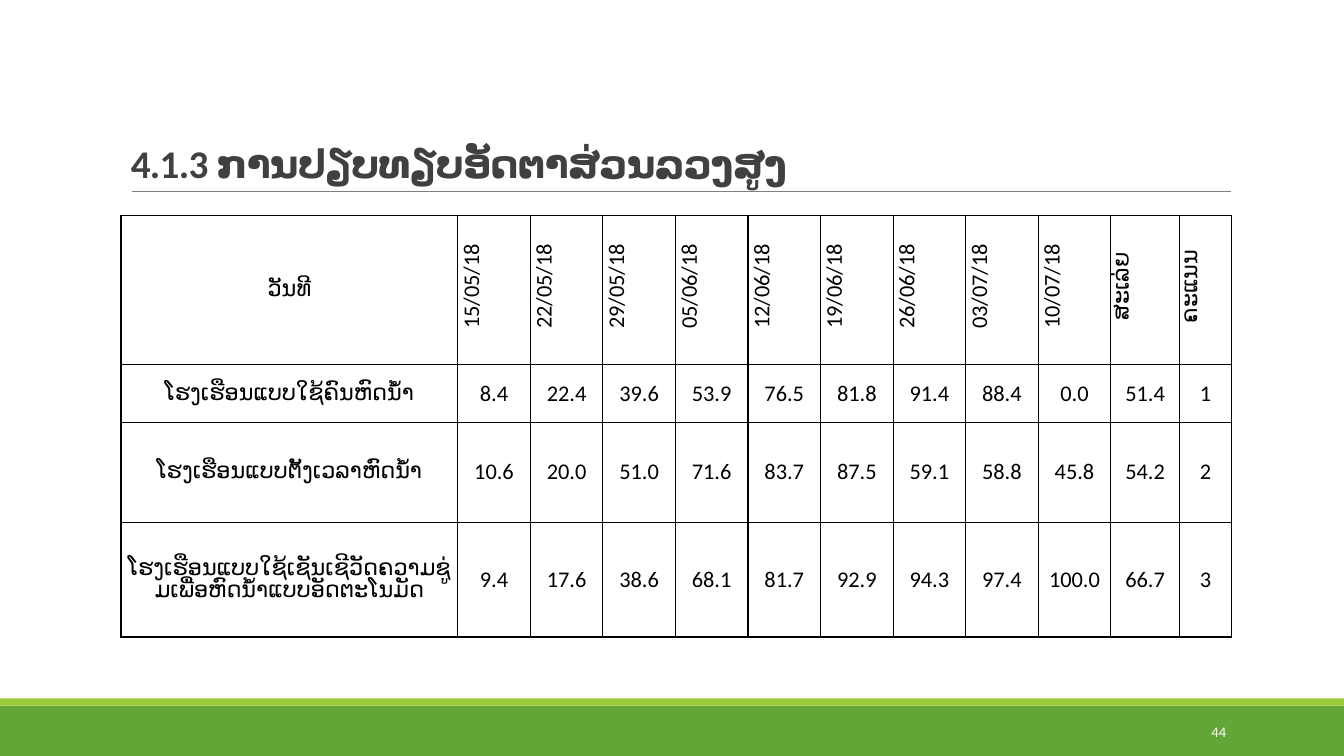
from dataclasses import dataclass

from lxml import etree
from pptx import Presentation
from pptx import util as u
from pptx.dml.color import RGBColor
from pptx.enum import shapes, text
from pptx.oxml import ns


@dataclass(frozen=True)
class Theme:
    font: str = "Calibri"
    dark_green: str = "63A537"
    light_green: str = "99CB38"
    rule: str = "808080"
    title: str = "404040"
    ink: str = "000000"
    white: str = "FFFFFF"
    title_size: float = 28
    table_size: float = 16
    number_size: float = 10.5


THEME = Theme()

DATES = ["15/05/18", "22/05/18", "29/05/18", "05/06/18", "12/06/18",
         "19/06/18", "26/06/18", "03/07/18", "10/07/18"]
TABLE_ROWS = [
    ["ວັນທີ", *DATES, "ສະເລ່ຍ", "ຄະແນນ"],
    ["ໂຮງເຮືອນແບບໃຊ້ຄົນຫົດນ້ຳ", "8.4", "22.4", "39.6", "53.9", "76.5",
     "81.8", "91.4", "88.4", "0.0", "51.4", "1"],
    ["ໂຮງເຮືອນແບບຕັ້ງເວລາຫົດນ້ຳ", "10.6", "20.0", "51.0", "71.6", "83.7",
     "87.5", "59.1", "58.8", "45.8", "54.2", "2"],
    ["ໂຮງເຮືອນແບບໃຊ້ເຊັນເຊີວັດຄວາມຊູ່ມເພື່ອຫົດນ້ຳແບບອັດຕະໂນມັດ", "9.4", "17.6",
     "38.6", "68.1", "81.7", "92.9", "94.3", "97.4", "100.0", "66.7", "3"],
]
COLUMN_WIDTHS = [3.34] + [0.72] * len(DATES) + [0.68, 0.52]
ROW_HEIGHTS = [1.48, 0.57, 0.99, 1.14]


def inches(*lengths):
    return [u.Inches(length) for length in lengths]


def style(paragraph, size, color, alignment, bold=False):
    paragraph.alignment = alignment
    font = paragraph.font
    font.name, font.size, font.bold = THEME.font, u.Pt(size), bold
    font.color.rgb = RGBColor.from_string(color)


def add_text(slide, box, wording, anchor):
    frame = slide.shapes.add_textbox(*inches(*box)).text_frame
    frame.word_wrap = True
    frame.vertical_anchor = anchor
    paragraph = frame.paragraphs[0]
    paragraph.text = wording
    return paragraph


def add_band(slide, box, color):
    band = slide.shapes.add_shape(shapes.MSO_SHAPE.RECTANGLE, *inches(*box))
    band.shadow.inherit = False
    band.fill.solid()
    band.fill.fore_color.rgb = RGBColor.from_string(color)
    band.line.fill.background()


def add_footer(slide, box, number):
    left, top, width, height = box
    stripe = 0.07
    add_band(slide, (left, top + stripe, width, height - stripe), THEME.dark_green)
    add_band(slide, (left, top, width, stripe), THEME.light_green)
    paragraph = add_text(slide, (left + 10.83, top + 0.13, 1.43, 0.4), number,
                         text.MSO_ANCHOR.MIDDLE)
    style(paragraph, THEME.number_size, THEME.white, text.PP_ALIGN.RIGHT)


def add_title(slide, box, wording):
    left, top, width, height = box
    bottom = top + height
    # Rule under the title
    rule = slide.shapes.add_connector(
        shapes.MSO_CONNECTOR.STRAIGHT,
        *inches(left + 0.11, bottom, left + 11.01, bottom))
    rule.line.color.rgb = RGBColor.from_string(THEME.rule)
    rule.line.width = u.Pt(0.5)
    etree.SubElement(rule._element.spPr, ns.qn("a:effectLst"))
    # Title text
    paragraph = add_text(slide, box, wording, text.MSO_ANCHOR.BOTTOM)
    paragraph.line_spacing = 0.85
    style(paragraph, THEME.title_size, THEME.title, text.PP_ALIGN.LEFT, bold=True)
    paragraph.runs[0].font._element.set("spc", "-50")


def add_borders(cell):
    properties = cell._tc.get_or_add_tcPr()
    for side in ("lnL", "lnR", "lnT", "lnB"):
        line = etree.SubElement(properties, ns.qn(f"a:{side}"), w=str(u.Pt(1)))
        fill = etree.SubElement(line, ns.qn("a:solidFill"))
        etree.SubElement(fill, ns.qn("a:srgbClr"), val=THEME.ink)


def fill_cell(cell, wording, upright):
    add_borders(cell)
    cell.fill.background()
    cell.margin_left = cell.margin_right = cell.margin_top = cell.margin_bottom = 0
    cell.vertical_anchor = text.MSO_ANCHOR.MIDDLE
    paragraph = cell.text_frame.paragraphs[0]
    paragraph.text = wording
    if upright:
        cell._tc.get_or_add_tcPr().set("vert", "vert270")
        paragraph._p.get_or_add_pPr().set("marL", str(u.Inches(0.08)))
    style(paragraph, THEME.table_size, THEME.ink, text.PP_ALIGN.CENTER)


def add_results_table(slide, left, top):
    box = inches(left, top, sum(COLUMN_WIDTHS), sum(ROW_HEIGHTS))
    table = slide.shapes.add_table(len(TABLE_ROWS), len(COLUMN_WIDTHS), *box).table
    table.first_row = table.horz_banding = False
    for column, width in zip(table.columns, COLUMN_WIDTHS):
        column.width = u.Inches(width)
    for row, height in zip(table.rows, ROW_HEIGHTS):
        row.height = u.Inches(height)
    for i, wordings in enumerate(TABLE_ROWS):
        for j, wording in enumerate(wordings):
            fill_cell(table.cell(i, j), wording, upright=i == 0 and j > 0)


def main():
    presentation = Presentation()
    presentation.slide_width, presentation.slide_height = inches(13.33, 7.5)
    slide = presentation.slides.add_slide(presentation.slide_layouts[6])
    add_footer(slide, (0, 6.93, 13.33, 0.57), "44")
    add_title(slide, (1.2, 0.31, 12.13, 1.59), "4.1.3 ການປຽບທຽບອັດຕາສ່ວນລວງສູງ")
    add_results_table(slide, 1.2, 2.14)
    presentation.save("out.pptx")


if __name__ == "__main__":
    main()
